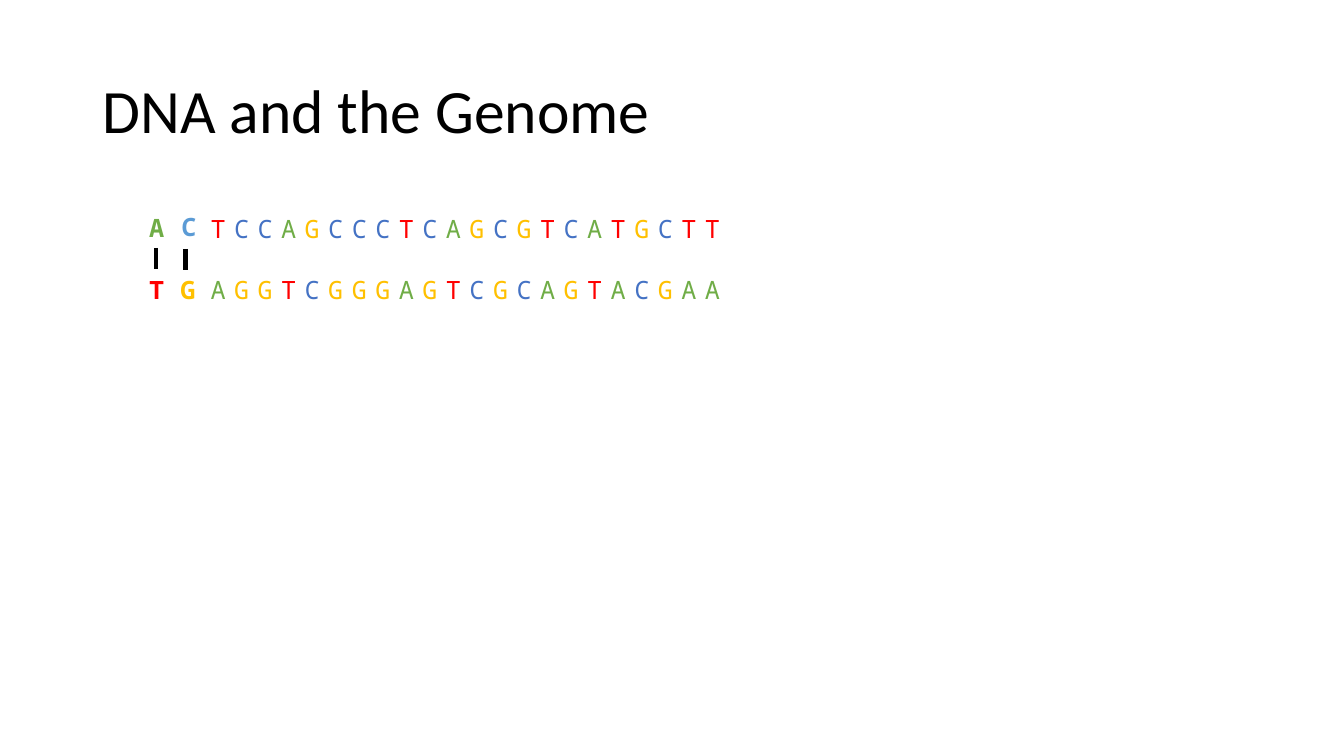
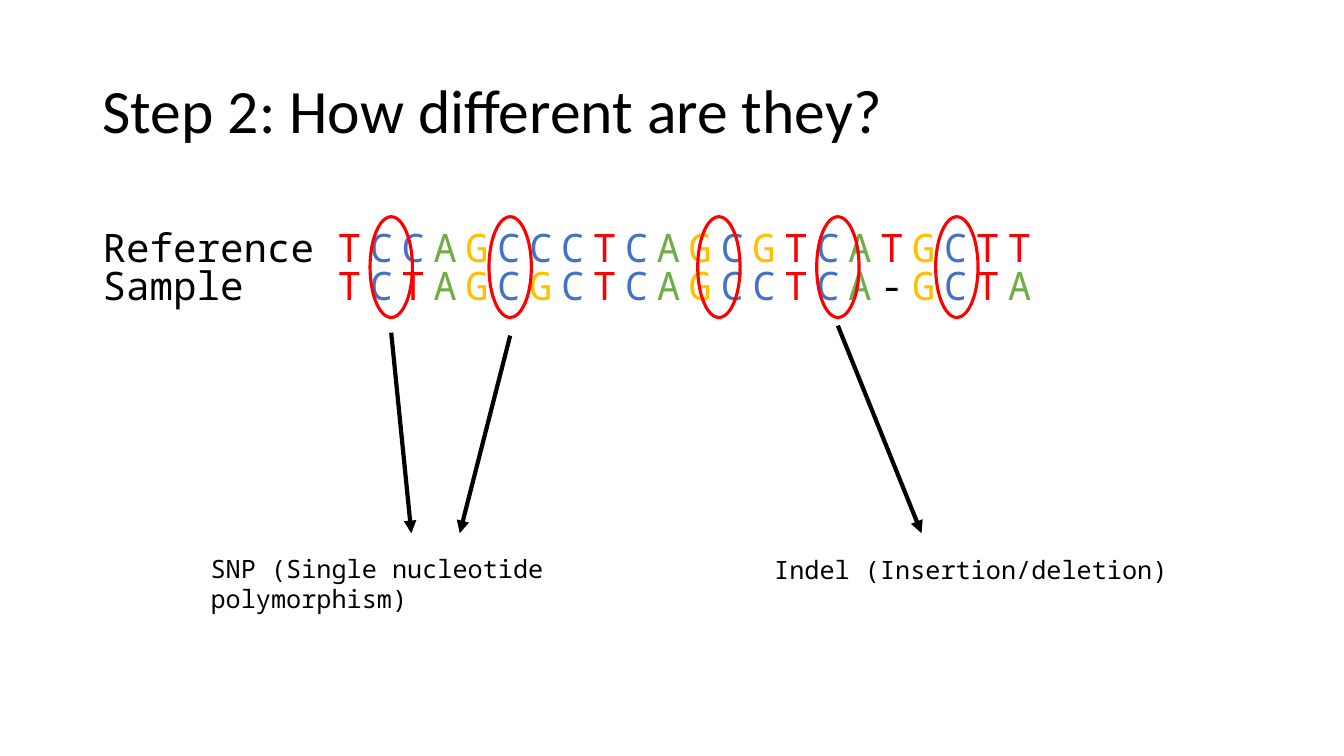
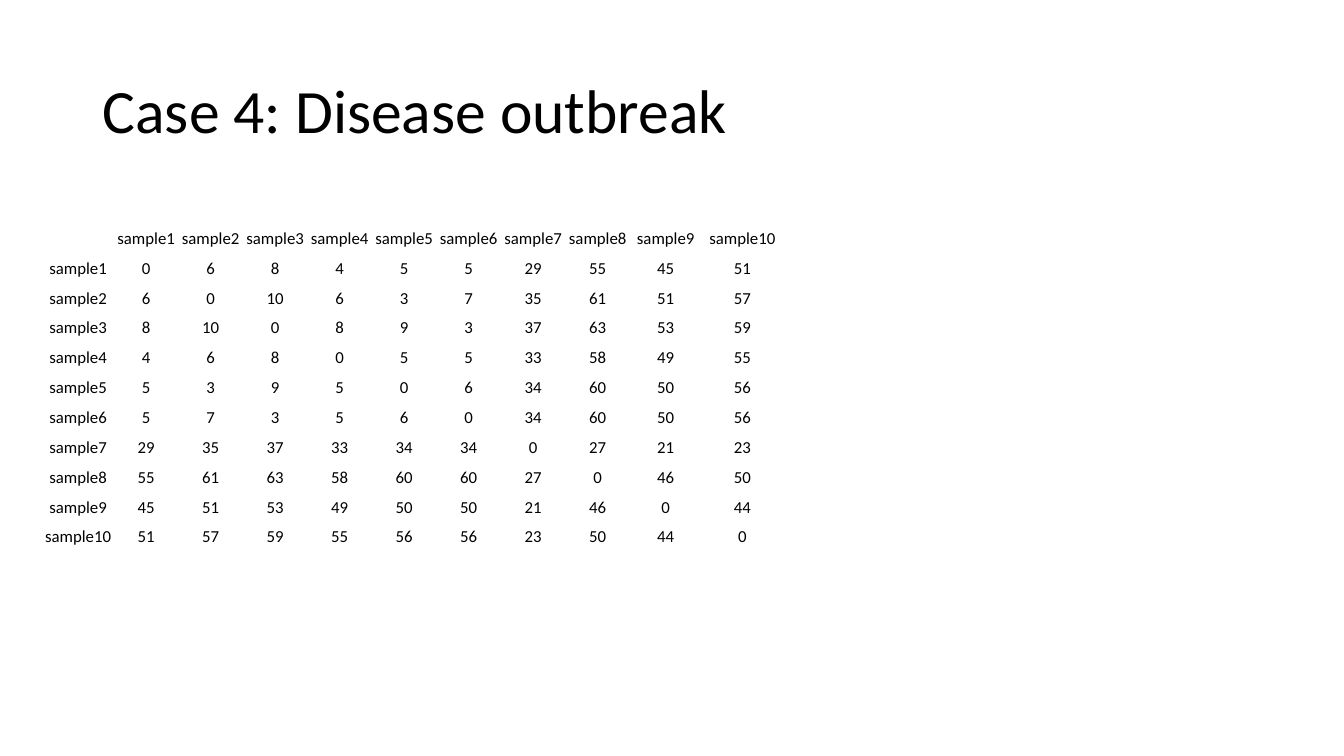
from itertools import groupby

from lxml import etree
from pptx import Presentation
from pptx.dml.color import RGBColor
from pptx.enum import shapes, text
from pptx.oxml import ns
from pptx.util import Pt

PX = 9144  # one px is a hundredth of an inch
SANS, MONO = "Calibri", "Noto Sans Mono"
BLACK = RGBColor(0x00, 0x00, 0x00)
RED = RGBColor(0xFF, 0x00, 0x00)
GREEN = RGBColor(0x70, 0xAD, 0x47)
GOLD = RGBColor(0xFF, 0xC0, 0x00)
BLUE = RGBColor(0x44, 0x72, 0xC4)
SKY = RGBColor(0x5B, 0x9B, 0xD5)
BASES = {"A": GREEN, "C": BLUE, "G": GOLD, "T": RED}


def write(frame, words, font=MONO, size=18, color=BLACK, bold=False,
          bases=False, wrap=None, anchor=None, align=None,
          lead=None, before=None, tab=None):
    """Fill a text frame; with bases, colour what follows the last tab."""
    if wrap is not None:
        frame.word_wrap = wrap
    if anchor is not None:
        frame.vertical_anchor = anchor
    for num, line in enumerate(words.split("\n")):
        para = frame.add_paragraph() if num else frame.paragraphs[0]
        para.alignment = align
        para.line_spacing = lead
        if before is not None:
            para.space_before = Pt(before)
        if tab:
            tabs = etree.SubElement(para._p.get_or_add_pPr(), ns.qn("a:tabLst"))
            etree.SubElement(tabs, ns.qn("a:tab"), pos=str(tab * PX), algn="l")
        parts = [(line, color, 0)]
        if bases:
            head, gap, chain = line.rpartition("\t")
            parts = [(head + gap, color, 0)] if head else []
            parts += [("".join(same), BASES.get(base, BLACK), 600)
                      for base, same in groupby(chain)]
        for part, tint, space in parts:
            run = para.add_run()
            run.text = part
            run.font.name = font
            run.font.size = Pt(size)
            run.font.bold = bold
            run.font.color.rgb = tint
            if space:
                run._r.get_or_add_rPr().set("spc", str(space))


def draw(slide, ends, arrow=False):
    """Draw a black line, with an arrowhead at its end if asked."""
    line = slide.shapes.add_connector(
        shapes.MSO_CONNECTOR.STRAIGHT, *[n * PX for n in ends])
    line.line.color.rgb = BLACK
    line.line.width = Pt(3)
    if arrow:
        etree.SubElement(line.line._get_or_add_ln(), ns.qn("a:tailEnd"),
                         type="triangle")
    etree.SubElement(line._element.spPr, ns.qn("a:effectLst"))


deck = Presentation()
deck.slide_width, deck.slide_height = 1333 * PX, 750 * PX

# Slides with their shared title
pages = []
for title in ("DNA and the Genome", "Step 2: How different are they?",
              "Case 4: Disease outbreak"):
    page = deck.slides.add_slide(deck.slide_layouts[6])
    box = page.shapes.add_textbox(92 * PX, 40 * PX, 1150 * PX, 145 * PX)
    write(box.text_frame, title, font=SANS, size=44, wrap=True,
          anchor=text.MSO_ANCHOR.MIDDLE, lead=0.9)
    pages.append(page)
dna, diff, case = pages

# Slide 1: paired bases, bonds and the two strands
for left, top, base, tint in ((138, 206, "A", GREEN), (138, 267, "T", RED),
                              (169, 267, "G", GOLD), (170, 205, "C", SKY)):
    box = dna.shapes.add_textbox(left * PX, top * PX, 34 * PX, 40 * PX)
    write(box.text_frame, base, color=tint, bold=True, wrap=False)
for left, top in ((155, 246), (184, 247)):
    draw(dna, (left, top, left, top + 21))
for top, chain in ((207, "TCCAGCCCTCAGCGTCATGCTT"),
                   (267, "AGGTCGGGAGTCGCAGTACGAA")):
    box = dna.shapes.add_textbox(199 * PX, top * PX, 667 * PX, 40 * PX)
    write(box.text_frame, chain, bases=True, wrap=True)

# Slide 2: aligned sequences
box = diff.shapes.add_textbox(92 * PX, 233 * PX, 1021 * PX, 317 * PX)
write(box.text_frame,
      "Reference\tTCCAGCCCTCAGCGTCATGCTT\nSample\tTCTAGCGCTCAGCCTCA-GCTA",
      size=28, bases=True, wrap=True, lead=0.6, before=7, tab=233)

# Slide 2: rings, arrows and labels
for left in (367, 485, 692, 810, 928):
    ring = diff.shapes.add_shape(shapes.MSO_SHAPE.OVAL, left * PX, 215 * PX,
                                 42 * PX, 100 * PX)
    ring.shadow.inherit = False
    ring.fill.background()
    ring.line.color.rgb = RED
    ring.line.width = Pt(2.25)
for ends in ((388, 330, 408, 529), (506, 333, 456, 529), (831, 323, 914, 529)):
    draw(diff, ends, arrow=True)
for left, top, label in ((199, 544, "SNP (Single nucleotide polymorphism)"),
                         (758, 545, "Indel (Insertion/deletion)")):
    box = diff.shapes.add_textbox(left * PX, top * PX, 515 * PX, 40 * PX)
    write(box.text_frame, label, wrap=True)

# Slide 3: distances between samples
DISTS = (
    (0, 6, 8, 4, 5, 5, 29, 55, 45, 51),
    (6, 0, 10, 6, 3, 7, 35, 61, 51, 57),
    (8, 10, 0, 8, 9, 3, 37, 63, 53, 59),
    (4, 6, 8, 0, 5, 5, 33, 58, 49, 55),
    (5, 3, 9, 5, 0, 6, 34, 60, 50, 56),
    (5, 7, 3, 5, 6, 0, 34, 60, 50, 56),
    (29, 35, 37, 33, 34, 34, 0, 27, 21, 23),
    (55, 61, 63, 58, 60, 60, 27, 0, 46, 50),
    (45, 51, 53, 49, 50, 50, 21, 46, 0, 44),
    (51, 57, 59, 55, 56, 56, 23, 50, 44, 0),
)
names = [f"sample{num + 1}" for num in range(len(DISTS))]
rows = [["", *names]] + [[name, *dist] for name, dist in zip(names, DISTS)]
grid = case.shapes.add_table(len(rows), len(rows[0]), 42 * PX, 216 * PX,
                             732 * PX, 326 * PX).table
grid.first_row = grid.horz_banding = False
for col, width in zip(grid.columns, [71] + [64] * 8 + [71, 81]):
    col.width = width * PX
for y, row in enumerate(rows):
    for x, value in enumerate(row):
        cell = grid.cell(y, x)
        cell.fill.background()
        cell.margin_left = cell.margin_right = cell.margin_top = PX
        cell.margin_bottom = 0
        cell.vertical_anchor = text.MSO_ANCHOR.BOTTOM
        write(cell.text_frame, str(value), font=SANS, size=12,
              align=text.PP_ALIGN.CENTER)

deck.save("out.pptx")
